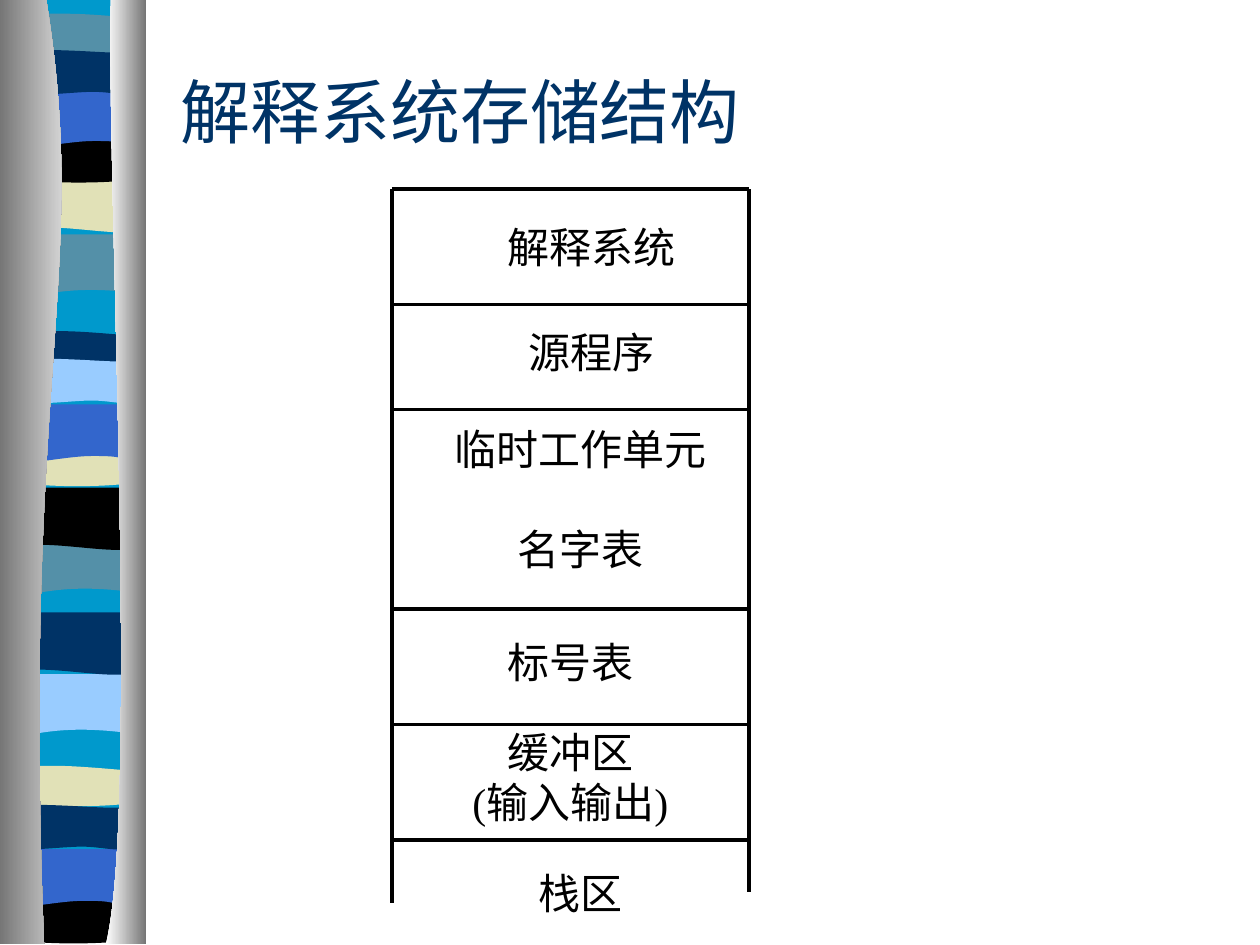
from lxml import etree
from pptx import Presentation
from pptx.dml.color import RGBColor
from pptx.enum.shapes import MSO_CONNECTOR, MSO_SHAPE
from pptx.enum.text import MSO_ANCHOR, PP_ALIGN
from pptx.oxml.ns import qn
from pptx.util import Pt

STRAIGHT = MSO_CONNECTOR.STRAIGHT
RECTANGLE = MSO_SHAPE.RECTANGLE
MIDDLE = MSO_ANCHOR.MIDDLE
CENTER = PP_ALIGN.CENTER

BLACK = RGBColor(0x00, 0x00, 0x00)
WHITE = RGBColor(0xFF, 0xFF, 0xFF)
NAVY = RGBColor(0x00, 0x33, 0x66)
CYAN = RGBColor(0x00, 0x99, 0xCC)
TEAL = RGBColor(0x54, 0x90, 0xA8)
CREAM = RGBColor(0xE1, 0xE1, 0xB7)
BLUE = RGBColor(0x33, 0x66, 0xCC)
SKY = RGBColor(0x99, 0xCC, 0xFF)
GREY = RGBColor(0x76, 0x76, 0x76)

FONT = "Times New Roman"
TITLE = "解释系统存储结构"
LINE_PITCH = 28.6

AREAS = [
    (["解释系统"], 302, 126, 30, 0),
    (["源程序"], 302, 186, 30, 0),
    (["临时工作单元", "名字表"], 296, 246, 78, LINE_PITCH),
    (["标号表"], 290, 360, 36, 0),
    (["缓冲区", "(输入输出)"], 290, 426, 36, 0),
    (["栈区"], 296, 498, 24, 0),
]
AREA_WIDTH = 72

STACK_LEFT, STACK_RIGHT, STACK_TOP = 224, 428, 108
LEFT_END, RIGHT_END = 516, 510
DIVIDERS = [STACK_TOP, 174, 234, 348, 414, 480]

OUTLINES = {
    "dip": [(70.6, 0), (70.6, 33.8), (21.6, 27.4, 12.2, 38.9, 0, 33.8), (0, 0)],
    "wave": [(70.6, 0), (70.6, 33.8), (59, 39.6, 21.6, 29.5, 0, 33.8), (0, 0)],
    "pillow": [(70.6, 3.6), (70.6, 21.6), (59, 24.5, 11.5, 24.5, 0, 21.6), (0, 3.6),
               (4.3, 0, 15.1, 0.7, 27.4, 0.7), (38.9, 0.7, 61.9, 2.9, 70.6, 3.6)],
    "bowl": [(70.6, 0), (70.6, 23.8), (59, 27.4, 12.2, 27.4, 0, 23.8), (0, 0),
             (43.9, 3.6, 56.2, 0, 70.6, 0)],
    "arch": [(70.6, 0), (70.6, 33.8), (59.8, 29.5, 55.4, 29.5, 43.9, 29.5),
             (31.7, 29.5, 10.8, 33.8, 0, 33.8), (0, 0)],
    "ripple": [(71.3, 3.6), (71.3, 25.9), (66.2, 29.5, 55.4, 25.9, 43.9, 25.9),
               (31.7, 25.9, 7.2, 29.5, 0, 25.9), (0, 3.6),
               (10.1, 0, 48.2, 3.6, 59.8, 3.6), (71.3, 3.6)],
}

BANDS = [
    ("dip", TEAL, 9.4, 133.9), ("wave", CREAM, 12.2, 97.2), ("pillow", TEAL, 12.2, 7.2),
    ("bowl", BLACK, 9.4, 77.8), ("arch", BLUE, 9.4, 51.1), ("ripple", NAVY, 9.4, 26.6),
    ("dip", TEAL, 5.8, 304.6), ("wave", BLACK, 8.6, 278.6), ("pillow", NAVY, 8.6, 188.6),
    ("bowl", CREAM, 8.6, 251.3), ("arch", BLUE, 8.6, 231.1), ("ripple", SKY, 8.6, 203),
    ("dip", SKY, 3.6, 385.2), ("wave", NAVY, 7.2, 349.9), ("pillow", CREAM, 5.8, 437),
    ("bowl", BLACK, 6.5, 512.6), ("arch", BLUE, 3.6, 485.3), ("ripple", NAVY, 2.9, 457.9),
]
RIBBON = [(80.6, 0), (80.6, 538), (10, 538), (10, 0)]
LEFT_CURTAIN = [(26.5, 0), (51.7, 155.5, 12.2, 213, 25.2, 539.3), (0, 539.3), (0, 0)]
RIGHT_CURTAIN = [(63.4, 0), (60.5, 90, 79.9, 465, 60.5, 539.3), (83.5, 539.3), (83.5, 0)]


def add_outline(slide, outline, colors, left=0, top=0):
    points = [(Pt(left + x), Pt(top + y))
              for segment in outline for x, y in zip(segment[::2], segment[1::2])]
    builder = slide.shapes.build_freeform(*points[0], scale=1.0)
    builder.add_line_segments(points[1:], close=True)
    shape = builder.convert_to_shape()
    steps = iter(list(shape._element.iter(qn("a:lnTo"))))
    for segment in outline[1:]:
        step = next(steps)
        if len(segment) == 6:
            step.addprevious(curve := etree.Element(qn("a:cubicBezTo")))
            for node in (step, next(steps), next(steps)):
                curve.append(node[0])
                node.getparent().remove(node)
    shape.shadow.inherit = False
    shape.line.fill.background()
    if len(colors) == 1:
        shape.fill.solid()
        shape.fill.fore_color.rgb = colors[0]
    else:
        shape.fill.gradient()
        shape.fill.gradient_angle = 0
        for stop, color in zip(shape.fill.gradient_stops, colors):
            stop.color.rgb = color


def add_rule(slide, x1, y1, x2, y2):
    rule = slide.shapes.add_connector(STRAIGHT, Pt(x1), Pt(y1), Pt(x2), Pt(y2))
    rule.line.color.rgb = BLACK
    rule.line.width = Pt(2.25)
    etree.SubElement(rule._element.spPr, qn("a:effectLst"))


def add_text(paragraph, text, size, color):
    run = paragraph.add_run()
    run.text = text
    run.font.name = FONT
    run.font.size = Pt(size)
    run.font.color.rgb = color


def add_area(slide, lines, left, top, height, gap):
    area = slide.shapes.add_shape(RECTANGLE, Pt(left), Pt(top), Pt(AREA_WIDTH), Pt(height))
    area.shadow.inherit = False
    area.fill.solid()
    area.fill.fore_color.rgb = WHITE
    area.line.color.rgb = WHITE
    area.line.width = Pt(2.25)
    frame = area.text_frame
    frame.word_wrap = False
    frame.vertical_anchor = MIDDLE
    for index, line in enumerate(lines):
        paragraph = frame.add_paragraph() if index else frame.paragraphs[0]
        paragraph.alignment = CENTER
        if index:
            paragraph.space_before = Pt(gap)
        add_text(paragraph, line, 24, BLACK)


def main():
    deck = Presentation()
    deck.slide_width, deck.slide_height = Pt(720), Pt(540)
    slide = deck.slides.add_slide(deck.slide_layouts[6])

    add_outline(slide, RIBBON, [CYAN])
    for outline, color, left, top in BANDS:
        add_outline(slide, OUTLINES[outline], [color], left, top)
    add_outline(slide, LEFT_CURTAIN, [GREY, WHITE])
    add_outline(slide, RIGHT_CURTAIN, [WHITE, GREY])

    title = slide.shapes.add_textbox(Pt(96), Pt(18), Pt(588), Pt(90)).text_frame
    title.word_wrap = True
    title.vertical_anchor = MIDDLE
    add_text(title.paragraphs[0], TITLE, 40, NAVY)

    add_rule(slide, STACK_LEFT, STACK_TOP, STACK_LEFT, LEFT_END)
    add_rule(slide, STACK_RIGHT, STACK_TOP, STACK_RIGHT, RIGHT_END)
    for y in DIVIDERS:
        add_rule(slide, STACK_LEFT, y, STACK_RIGHT, y)
    for area in AREAS:
        add_area(slide, *area)

    deck.save("out.pptx")


if __name__ == "__main__":
    main()
